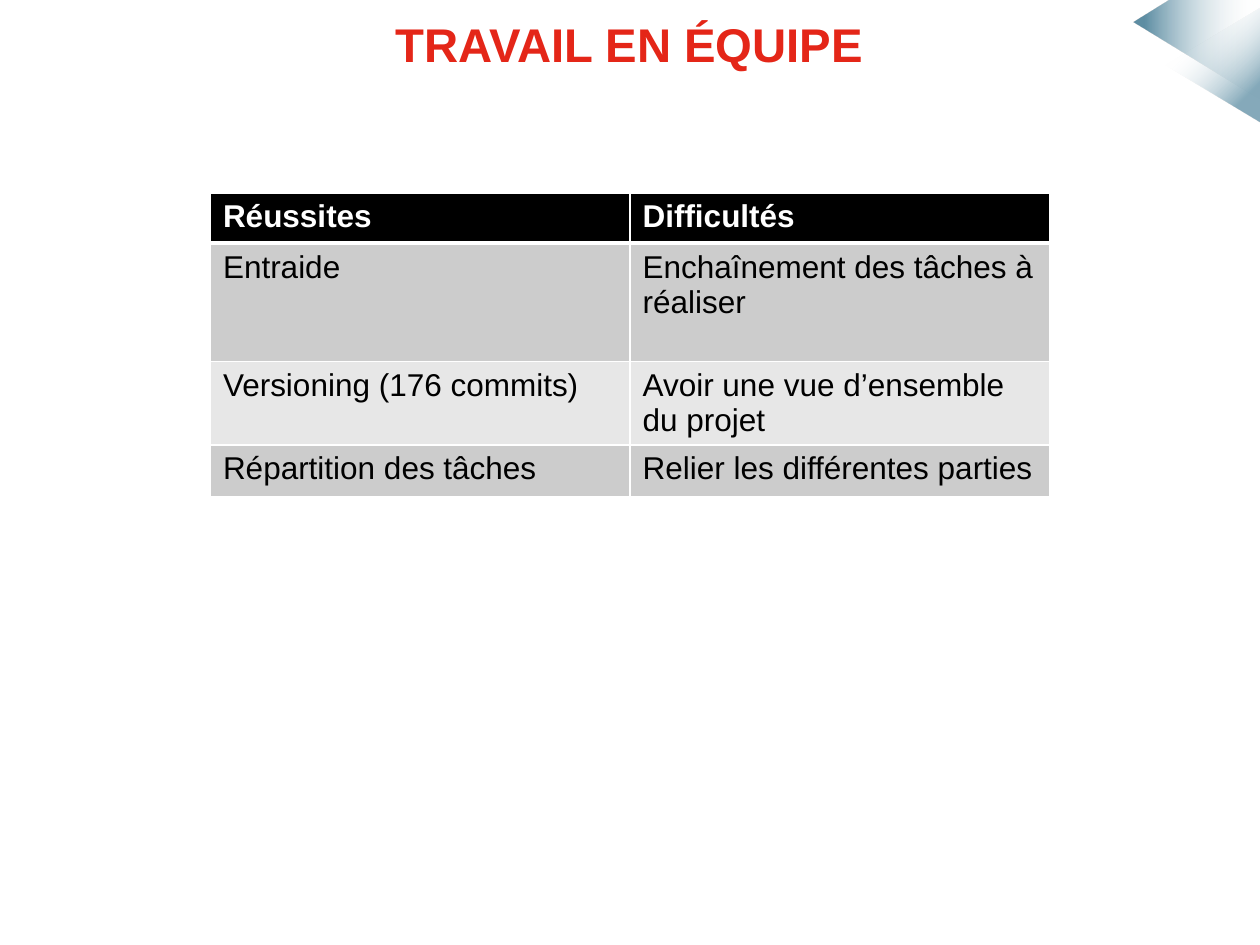
from lxml import etree
from pptx import Presentation
from pptx.dml.color import RGBColor as Rgb
from pptx.enum.shapes import MSO_SHAPE as Shape
from pptx.enum.text import MSO_ANCHOR as Anchor, PP_ALIGN as Align
from pptx.oxml.ns import qn
from pptx.util import Inches, Pt

HUES = {"white": "FFFFFF", "black": "000000", "red": "E42618",
        "teal": "004D6F", "odd": "CCCCCC", "even": "E7E7E7"}
ROWS = [("Réussites", "Difficultés"),
        ("Entraide", "Enchaînement des tâches à réaliser"),
        ("Versioning (176 commits)", "Avoir une vue d’ensemble du projet"),
        ("Répartition des tâches", "Relier les différentes parties")]
TALL = [0.4, 0.94, 0.66, 0.41]
WIDE = 3.33


def hue(name):
    return Rgb.from_string(HUES[name])


def box(*nums):
    return [Inches(n) for n in nums]


class Deck:
    font = "Arial"

    def __init__(self, wide, high):
        self.show = Presentation()
        self.show.slide_width, self.show.slide_height = box(wide, high)
        self.slide = self.show.slides.add_slide(self.show.slide_layouts[5])

    def label(self, frame, text, size, color, bold=False):
        para = frame.paragraphs[0]
        run = para.add_run()
        run.text = text
        look = {"name": self.font, "size": Pt(size), "bold": bold}
        for key, value in look.items():
            setattr(run.font, key, value)
        run.font.color.rgb = hue(color)
        return para

    def title(self, text, *place):
        head = self.slide.shapes.title
        for key, value in zip(("left", "top", "width", "height"), box(*place)):
            setattr(head, key, value)
        frame = head.text_frame
        frame.word_wrap = True
        frame.vertical_anchor = Anchor.TOP
        para = self.label(frame, text, 27, "red", True)
        para.alignment, para.line_spacing = Align.CENTER, 0.9

    def fade(self, shape, stops, angle):
        """Gradient of (position, colour, opacity) stops, without outline."""
        shape.shadow.inherit = False
        shape.line.fill.background()
        shape.fill.gradient()
        shape.fill.gradient_angle = angle
        for stop, (at, color, _) in zip(shape.fill.gradient_stops, stops):
            stop.position = at
            stop.color.rgb = hue(color)
        marks = shape._element.spPr.iter(qn("a:srgbClr"))
        for mark, (_, _, alpha) in zip(marks, stops):
            etree.SubElement(mark, qn("a:alpha"), val=str(alpha * 1000))

    def facet(self, points, stops, angle):
        first, *rest = [box(*point) for point in points]
        form = self.slide.shapes.build_freeform(*first)
        form.add_line_segments(rest, close=True)
        self.fade(form.convert_to_shape(), stops, angle)

    def wedge(self, place, turn, stops, angle):
        shape = self.slide.shapes.add_shape(Shape.ISOSCELES_TRIANGLE, *box(*place))
        shape.rotation = turn
        self.fade(shape, stops, angle)

    def edge(self, cell, side, width):
        props = cell._tc.get_or_add_tcPr()
        line = etree.SubElement(props, qn("a:ln" + side), w=str(Pt(width)))
        fill = etree.SubElement(line, qn("a:solidFill"))
        etree.SubElement(fill, qn("a:srgbClr"), val=HUES["white"])

    def table(self, left, top, rows, wide, tall):
        count = len(rows[0])
        place = box(left, top, wide * count, sum(tall))
        grid = self.slide.shapes.add_table(len(rows), count, *place).table
        grid.horz_banding = False
        for col in grid.columns:
            col.width = Inches(wide)
        for r, (row, high) in enumerate(zip(rows, tall)):
            grid.rows[r].height = Inches(high)
            head = r == 0
            back = "black" if head else "odd" if r % 2 else "even"
            for c, text in enumerate(row):
                cell = grid.cell(r, c)
                # A thick rule parts the header from the body
                rules = {"L": 1, "R": 1, "T": 3 if r == 1 else 1, "B": 3 if head else 1}
                for side, width in rules.items():
                    self.edge(cell, side, width)
                cell.fill.solid()
                cell.fill.fore_color.rgb = hue(back)
                self.label(cell.text_frame, text, 18, "white" if head else "black", head)


def main():
    deck = Deck(10, 7.5)
    # Corner decoration
    deck.facet([(10, 0.79), (9, 0.18), (9.29, 0), (10, 0)],
               [(0.01, "white", 0), (0.91, "teal", 63)], 180)
    deck.wedge((9.17, 0.14, 0.91, 0.75), 270,
               [(0.27, "white", 0), (0.81, "teal", 48)], 225)
    # Title
    deck.title("TRAVAIL EN ÉQUIPE", 0.69, 0.12, 8.61, 1.25)
    # Table of successes and difficulties
    deck.table(1.67, 1.53, ROWS, WIDE, TALL)
    deck.show.save("out.pptx")


if __name__ == "__main__":
    main()
